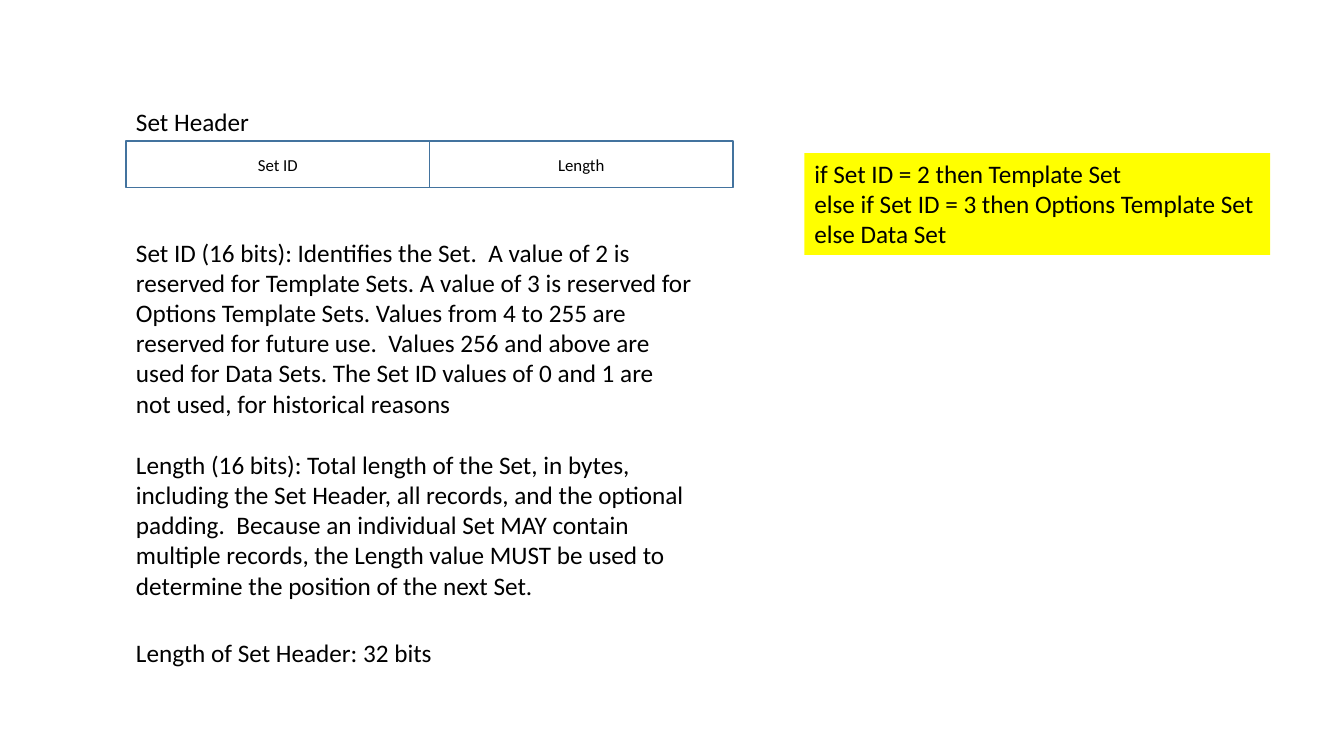
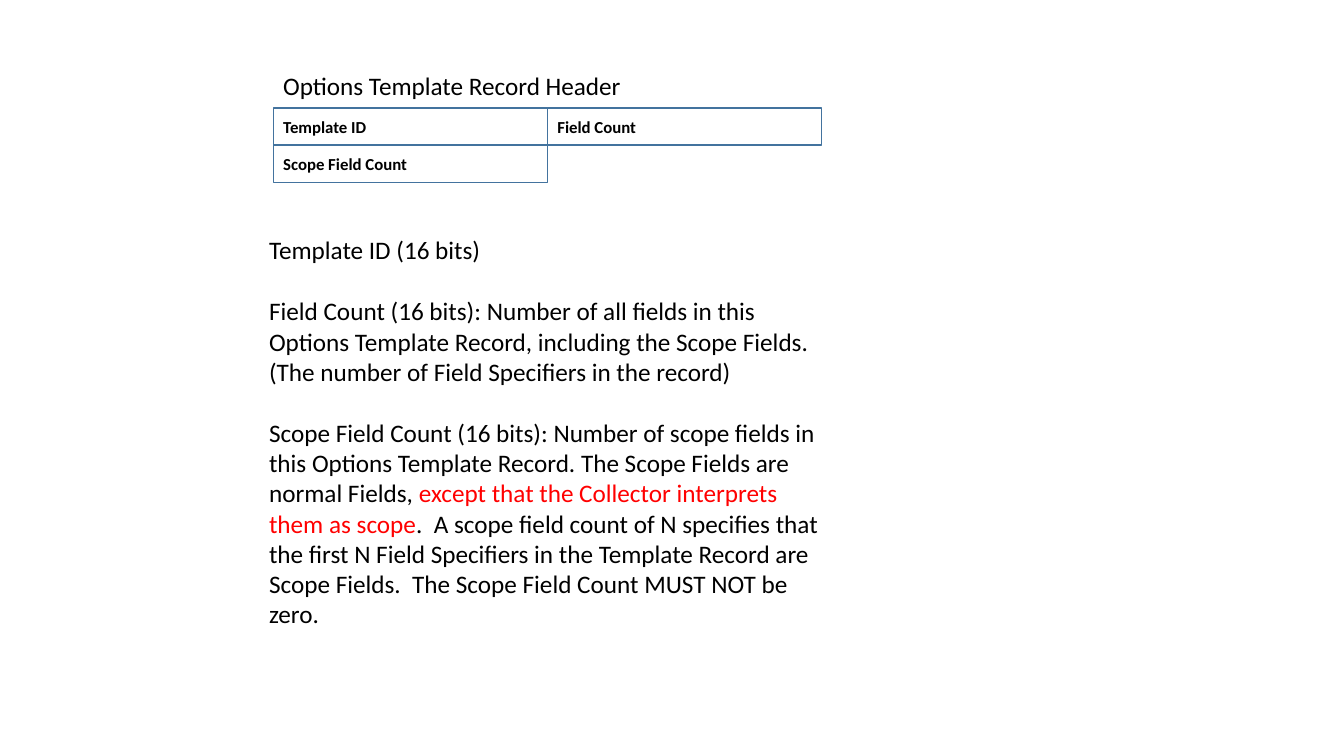
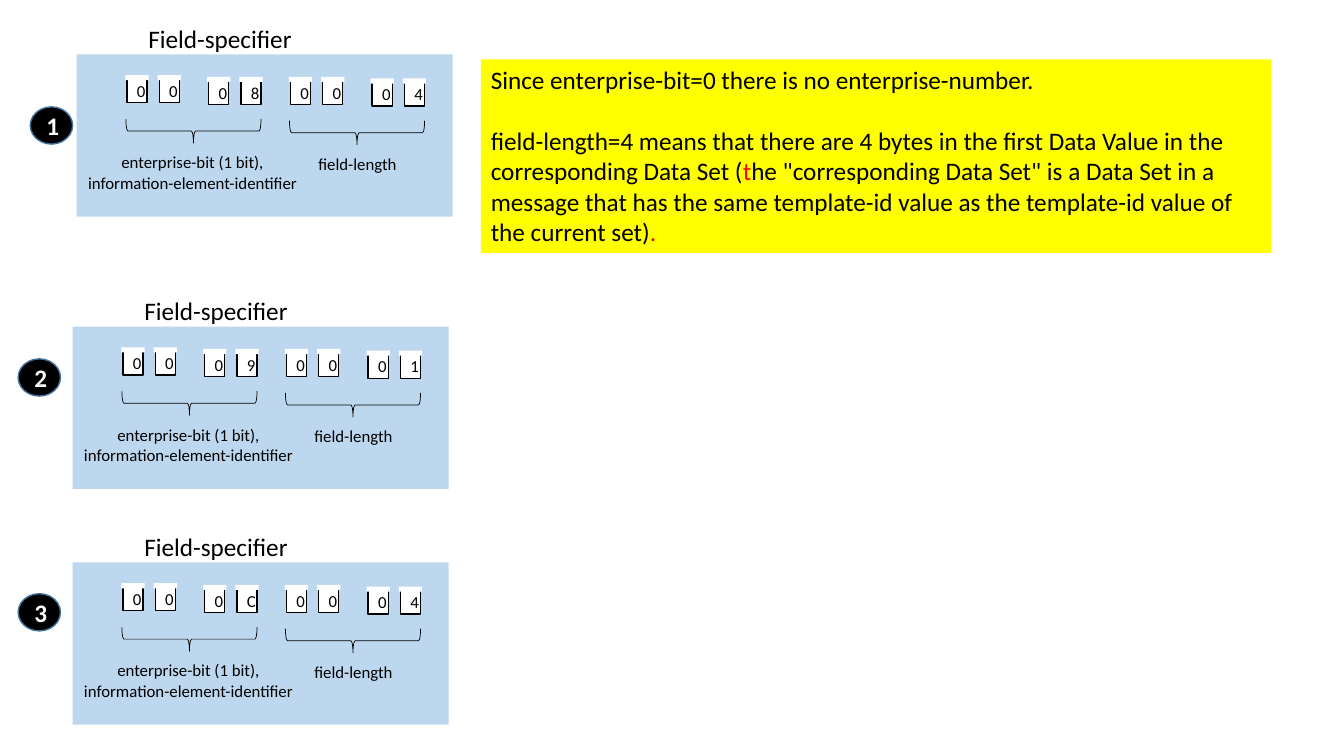
"""Build three slides on set headers, template headers and field specifiers."""
from pptx import Presentation
from pptx.dml.color import RGBColor
from pptx.enum.shapes import MSO_SHAPE
from pptx.enum.text import MSO_ANCHOR, PP_ALIGN
from pptx.util import Inches, Pt

BLACK = RGBColor(0x00, 0x00, 0x00)
WHITE = RGBColor(0xFF, 0xFF, 0xFF)
RED = RGBColor(0xFF, 0x00, 0x00)
GOLD = RGBColor(0xFF, 0xFF, 0x00)
STEEL = RGBColor(0x43, 0x73, 0x9E)
SKY = RGBColor(0xBD, 0xD7, 0xEE)
RECT, OVAL, BRACE = MSO_SHAPE.RECTANGLE, MSO_SHAPE.OVAL, MSO_SHAPE.LEFT_BRACE
LEFT, MID = PP_ALIGN.LEFT, PP_ALIGN.CENTER
TOP, CORE = MSO_ANCHOR.TOP, MSO_ANCHOR.MIDDLE
FONT = "Calibri"
GAP = 22

deck = Presentation()
deck.slide_width, deck.slide_height = Inches(13.33), Inches(7.5)
COL, ROW = deck.slide_width / 100, deck.slide_height / 100


def put(slide, text, x, y, w, h, kind=None, fill=None, line=None, width=1,
        size=18, color=BLACK, bold=False, align=LEFT, anchor=TOP,
        wrap=True, gap=0):
    """Place text, in a shape if a kind is given, at shares of the slide."""
    box = [round(n) for n in (x * COL, y * ROW, w * COL, h * ROW)]
    if kind is None:
        shape = slide.shapes.add_textbox(*box)
    else:
        shape = slide.shapes.add_shape(kind, *box)
        shape.shadow.inherit = False
    if fill is None:
        shape.fill.background()
    else:
        shape.fill.solid()
        shape.fill.fore_color.rgb = fill
    if line is None:
        shape.line.fill.background()
    else:
        shape.line.color.rgb = line
        shape.line.width = Pt(width)
    if not text:
        return shape
    frame = shape.text_frame
    frame.word_wrap = wrap
    frame.vertical_anchor = anchor
    for i, part in enumerate([text] if isinstance(text, str) else text):
        para = frame.add_paragraph() if i else frame.paragraphs[0]
        para.alignment = align
        if i and gap:
            para.space_before = Pt(gap)
        for words, tint in [(part, color)] if isinstance(part, str) else part:
            run = para.add_run()
            run.text = words
            run.font.name = FONT
            run.font.size = Pt(size)
            run.font.bold = bold
            run.font.color.rgb = tint
    return shape


sets, opts, specs = [deck.slides.add_slide(deck.slide_layouts[6])
                     for _ in range(3)]
cell = dict(kind=RECT, fill=WHITE, line=STEEL, size=12, anchor=CORE)

put(sets, [
    "Set ID (16 bits): Identifies the Set.  A value of 2 is reserved for "
    "Template Sets. A value of 3 is reserved for Options Template Sets. "
    "Values from 4 to 255 are reserved for future use.  Values 256 and above "
    "are used for Data Sets. The Set ID values of 0 and 1 are not used, for "
    "historical reasons",
    "Length (16 bits): Total length of the Set, in bytes, including the Set "
    "Header, all records, and the optional padding.  Because an individual "
    "Set MAY contain multiple records, the Length value MUST be used to "
    "determine the position of the next Set.",
], 9.38, 30.67, 42.83, 49.87, gap=GAP)
for i, name in enumerate(["Set ID", "Length"]):
    put(sets, name, 9.38 + 22.58 * i, 18.67, 22.58, 6.13, align=MID, **cell)
put(sets, "Set Header", 9.38, 13.47, 10.05, 5.33, wrap=False)
put(sets, "Length of Set Header: 32 bits", 9.38, 83.6, 23.85, 5.33, wrap=False)
put(sets, [
    "if Set ID = 2 then Template Set",
    "else if Set ID = 3 then Options Template Set",
    "else Data Set",
], 59.85, 20.27, 34.65, 13.47, fill=GOLD, wrap=False)

put(opts, "Options Template Record Header", 20.33, 8.67, 26.93, 5.33,
    wrap=False)
put(opts, [
    "Template ID (16 bits)",
    "Field Count (16 bits): Number of all fields in this Options Template "
    "Record, including the Scope Fields. (The number of Field Specifiers in "
    "the record)",
    [("Scope Field Count (16 bits): Number of scope fields in this Options "
      "Template Record. The Scope Fields are normal Fields, ", BLACK),
     ("except that the Collector interprets them as scope", RED),
     (".  A scope field count of N specifies that the first N Field "
      "Specifiers in the Template Record are Scope Fields.  The Scope Field "
      "Count MUST NOT be zero.", BLACK)],
], 19.28, 30.4, 42.83, 53.87, gap=GAP)
for name, i, j in [("Template ID", 0, 0), ("Scope Field Count", 0, 1),
                   ("Field Count", 1, 0)]:
    put(opts, name, 20.33 + 20.4 * i, 14.27 + 4.93 * j, 20.4, 4.93,
        bold=True, **cell)

STEP = 0.22
notes = [(["enterprise-bit (1 bit),", "information-element-identifier"],
          17.25, 6.67, MID),
         ("field-length", 7.35, 4, LEFT)]
cards = [("00080004", 5.7, 7.2, 2.25, 14.13),
         ("00090001", 5.4, 43.2, 1.35, 47.47),
         ("000C0004", 5.4, 74.4, 1.35, 78.53)]
for num, (code, x, y, left, top) in enumerate(cards, 1):
    put(specs, "", x, y, 27.98, 21.47, kind=RECT, fill=SKY)
    for i, digit in enumerate(code):
        pair, side = divmod(i, 2)
        across = x + 3.75 + 6.08 * pair + 2.4 * side
        down = y + 3.2 + STEP * ((pair + 1) // 2)
        put(specs, digit, across, down, 1.5, 3.2, kind=RECT, fill=WHITE,
            line=BLACK, size=12, align=MID, anchor=CORE)
        put(specs, "", across - 0.11, down - 0.45, 1.73, 0.67, kind=RECT,
            fill=WHITE)
    for half, (note, wide, high, align) in enumerate(notes):
        drop = y + STEP * half
        brace = put(specs, "", x + 7.8 + 12.17 * half, drop + 1.2, 1.8, 17.87,
                    kind=BRACE, line=BLACK, width=0.5)
        brace.rotation = 270
        put(specs, note, x + 17.25 * half, drop + 12.27, wide, high, size=12,
            align=align, wrap=False)
    put(specs, "Field-specifier", x + 4.6, y - 4.8, 12.3, 5.33, wrap=False)
    put(specs, str(num), left, top, 3.15, 4.93, kind=OVAL, fill=BLACK,
        line=STEEL, color=WHITE, bold=True, align=MID, anchor=CORE)
put(specs, [
    "Since enterprise-bit=0 there is no enterprise-number.",
    [("field-length=4 means that there are 4 bytes in the first Data Value in "
      "the corresponding Data Set (", BLACK),
     ("t", RED),
     ("he \"corresponding Data Set\" is a Data Set in a message that has the "
      "same template-id value as the template-id value of the current set)",
      BLACK),
     (".", RED)],
], 35.78, 7.87, 58.8, 25.6, fill=GOLD, gap=GAP)

deck.save("out.pptx")
